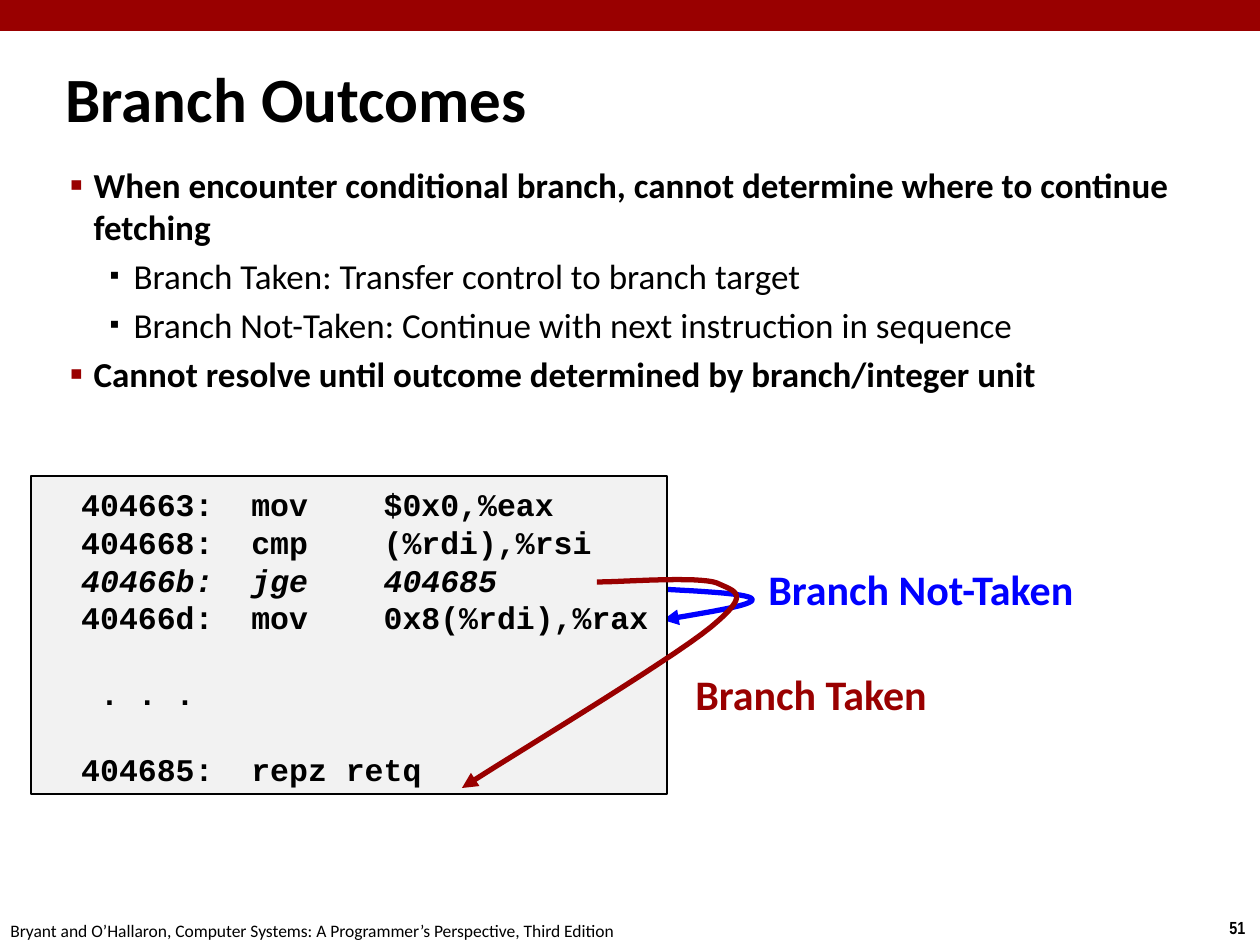
from dataclasses import dataclass

from lxml.etree import SubElement
from pptx import Presentation
from pptx.dml.color import RGBColor
from pptx.enum.shapes import MSO_SHAPE
from pptx.enum.text import MSO_ANCHOR, MSO_AUTO_SIZE, PP_ALIGN
from pptx.oxml.ns import qn
from pptx.util import Pt

PX = 914400 / 126


@dataclass(frozen=True)
class Theme:
    red: str = "990000"
    blue: str = "0000FF"
    ink: str = "000000"
    pale: str = "F2F2F2"
    sans: str = "Calibri"
    slim: str = "Arial Narrow"
    mono: str = "Courier New"
    head: float = 36
    label: float = 24
    list: float = 20
    code: float = 18
    lead: float = 21.6
    foot: float = 10


THEME = Theme()

TITLE = "Branch Outcomes"
POINTS = [
    (0, "When encounter conditional branch, cannot determine where to continue fetching"),
    (1, "Branch Taken: Transfer control to branch target"),
    (1, "Branch Not-Taken: Continue with next instruction in sequence"),
    (0, "Cannot resolve until outcome determined by branch/integer unit"),
]
LEVELS = [
    dict(left=39, size=110, color=THEME.red),
    dict(left=79, size=80, color=THEME.ink),
]
HANG = 24
CODE = [
    "  404663:  mov    $0x0,%eax",
    "  404668:  cmp    (%rdi),%rsi",
    "  40466b:  jge    404685",
    "  40466d:  mov    0x8(%rdi),%rax",
    "",
    "   . . .",
    "",
    "  404685:  repz retq",
]
JUMP = 2
TAKEN = ("Branch Taken", THEME.red, (683, 662, 260, 63))
NEXT = ("Branch Not-Taken", THEME.blue, (756, 557, 343, 63))
SOURCE = "Bryant and O’Hallaron, Computer Systems: A Programmer’s Perspective, Third Edition"
PAGE = "51"
NEXT_PATH = [
    (640, 588), (694, 591), (748, 593), (752, 599),
    (756, 605), (709, 612), (663, 620),
]
TAKEN_PATH = [
    (597, 582), (622, 582), (698, 576), (717, 583),
    (736, 592), (752, 593), (711, 627),
    (668, 662), (503, 761), (462, 788),
]
STEPS = 16


def emu(px):
    return round(px * PX)


def rgb(color):
    return RGBColor.from_string(color)


def place(shape, box):
    shape.left, shape.top, shape.width, shape.height = map(emu, box)


def write(frame, text, *, size, color=THEME.ink, face=THEME.sans, bold=False,
          slant=False, level=None, before=0, lead=None, first=True):
    para = frame.paragraphs[0] if first else frame.add_paragraph()
    if level is not None:
        bullet(para, level)
    para.alignment = PP_ALIGN.LEFT
    para.space_before = Pt(0 if first else before)
    if lead:
        para.line_spacing = Pt(lead)
    if text:
        run = para.add_run()
        run.text = text
        font = run.font
        font.size, font.name = Pt(size), face
        font.bold, font.italic = bold, slant
        font.color.rgb = rgb(color)


def bullet(para, level):
    look = LEVELS[level]
    para.level = level
    props = para._p.get_or_add_pPr()
    props.set("marL", str(emu(look["left"])))
    props.set("indent", str(-emu(HANG)))
    tint = SubElement(props, qn("a:buClr"))
    SubElement(tint, qn("a:srgbClr"), val=look["color"])
    SubElement(props, qn("a:buSzPct"), val=str(look["size"] * 1000))
    SubElement(props, qn("a:buFont"), typeface="Arial")
    SubElement(props, qn("a:buChar"), char="▪")


def label(slide, text, box, **style):
    shape = slide.shapes.add_textbox(*map(emu, box))
    shape.text_frame.word_wrap = True
    write(shape.text_frame, text, **style)


def panel(slide, box, fill):
    shape = slide.shapes.add_shape(MSO_SHAPE.RECTANGLE, *map(emu, box))
    shape.shadow.inherit = False
    shape.fill.solid()
    shape.fill.fore_color.rgb = rgb(fill)
    shape.line.fill.background()
    return shape


def bezier(a, b, c, d, t):
    u = 1 - t
    return tuple(
        emu(u**3 * p + 3 * u * u * t * q + 3 * u * t * t * r + t**3 * s)
        for p, q, r, s in zip(a, b, c, d)
    )


def arrow(slide, knots, color):
    dots = [
        bezier(*knots[i:i + 4], step / STEPS)
        for i in range(0, len(knots) - 1, 3)
        for step in range(1, STEPS + 1)
    ]
    form = slide.shapes.build_freeform(*map(emu, knots[0]), scale=1)
    form.add_line_segments(dots, close=False)
    shape = form.convert_to_shape()
    shape.shadow.inherit = False
    shape.fill.background()
    shape.line.color.rgb = rgb(color)
    shape.line.width = Pt(3)
    SubElement(shape.line._get_or_add_ln(), qn("a:tailEnd"), type="triangle")


def main():
    deck = Presentation()
    deck.slide_width, deck.slide_height = emu(1260), emu(945)
    slide = deck.slides.add_slide(deck.slide_layouts[1])
    title, body = slide.placeholders

    panel(slide, (0, 0, 1260, 31), THEME.red)
    label(slide, PAGE, (1217, 911, 43, 34), size=THEME.foot, face=THEME.slim, bold=True)
    label(slide, SOURCE, (-2, 914, 640, 34), size=THEME.foot)

    place(title, (53, 58, 818, 79))
    place(body, (42, 157, 1207, 252))
    for shape, anchor in ((title, MSO_ANCHOR.MIDDLE), (body, MSO_ANCHOR.TOP)):
        shape.text_frame.auto_size = MSO_AUTO_SIZE.NONE
        shape.text_frame.vertical_anchor = anchor
    write(title.text_frame, TITLE, size=THEME.head, bold=True)
    for i, (level, text) in enumerate(POINTS):
        write(body.text_frame, text, size=THEME.list, bold=level == 0,
              level=level, before=4, first=i == 0)

    arrow(slide, NEXT_PATH, THEME.blue)
    for text, color, box in (TAKEN, NEXT):
        label(slide, text, box, size=THEME.label, color=color, bold=True)

    code = panel(slide, (31, 476, 636, 318), THEME.pale)
    code.line.color.rgb = rgb(THEME.ink)
    code.line.width = Pt(1.5)
    frame = code.text_frame
    frame.word_wrap = True
    frame.vertical_anchor = MSO_ANCHOR.TOP
    frame.margin_top = emu(9)
    for i, text in enumerate(CODE):
        write(frame, text, size=THEME.code, face=THEME.mono, bold=True,
              slant=i == JUMP, lead=THEME.lead, first=i == 0)

    arrow(slide, TAKEN_PATH, THEME.red)
    deck.save("out.pptx")


if __name__ == "__main__":
    main()
